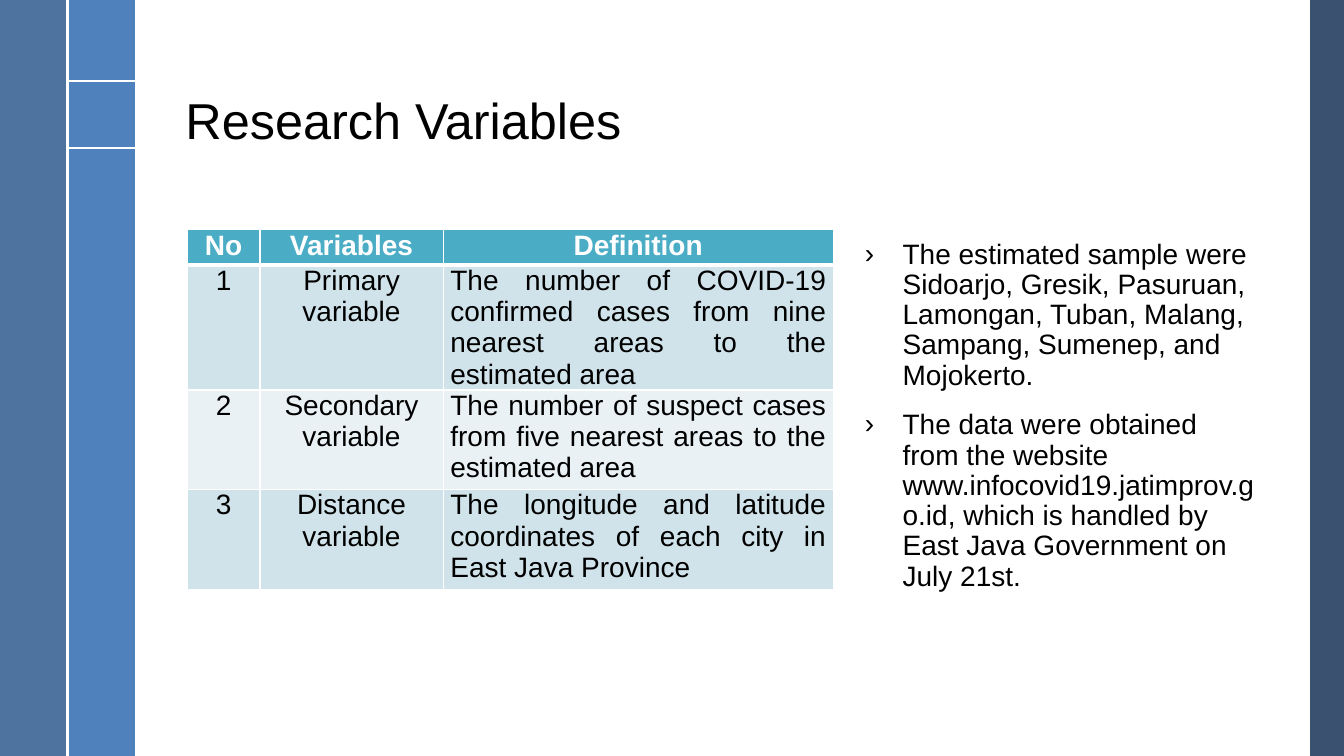
from lxml import etree
from pptx import Presentation
from pptx import util as u
from pptx.dml.color import RGBColor
from pptx.enum import shapes, text
from pptx.oxml import parse_xml
from pptx.oxml.ns import nsdecls, qn

W, H = 33.87, 19.05
BAR = 1.7
HEADER = ["No", "Variables", "Definition"]
ROWS = [
    ["1", "Primary variable", "The number of COVID-19 confirmed cases from nine "
     "nearest areas to the estimated area"],
    ["2", "Secondary variable", "The number of suspect cases from five nearest "
     "areas to the estimated area"],
    ["3", "Distance variable", "The longitude and latitude coordinates of each "
     "city in East Java Province"],
]
NOTES = [
    "The estimated sample were Sidoarjo, Gresik, Pasuruan, Lamongan, Tuban, "
    "Malang, Sampang, Sumenep, and Mojokerto.",
    "The data were obtained from the website www.infocovid19.jatimprov.go.id, "
    "which is handled by East Java Government on July 21st.",
]


def rgb(value):
    """Turn a hex string into a colour."""
    return RGBColor.from_string(value)


def set_attrs(obj, values):
    """Set each attribute named in a dict."""
    for name, value in values.items():
        setattr(obj, name, value)


def place(sp, left, top, width, height):
    """Move and size a shape, in centimetres."""
    set_attrs(sp, {"left": u.Cm(left), "top": u.Cm(top),
                   "width": u.Cm(width), "height": u.Cm(height)})


def write(p, words, size, color="000000", bold=False, **layout):
    """Fill a paragraph with one formatted run."""
    set_attrs(p, layout)
    r = p.add_run()
    r.text = words
    set_attrs(r.font, {"name": "Arial", "size": u.Pt(size), "bold": bold})
    r.font.color.rgb = rgb(color)


def add_bar(s, left, width, color, opacity=100):
    """Add a full-height vertical bar."""
    sp = s.shapes.add_shape(shapes.MSO_SHAPE.RECTANGLE, u.Cm(left), 0,
                            u.Cm(width), u.Cm(H))
    sp.shadow.inherit = False
    sp.fill.solid()
    sp.fill.fore_color.rgb = rgb(color)
    sp.line.fill.background()
    if opacity < 100:
        clr = sp.fill._xPr.find(qn("a:solidFill"))[0]
        etree.SubElement(clr, qn("a:alpha"), val=str(opacity * 1000))


def add_rule(s, x1, y1, x2, y2):
    """Add a thin white line."""
    ln = s.shapes.add_connector(shapes.MSO_CONNECTOR.STRAIGHT,
                                u.Cm(x1), u.Cm(y1), u.Cm(x2), u.Cm(y2))
    ln.line.color.rgb = rgb("FFFFFF")
    ln.line.width = u.Pt(1.5)
    etree.SubElement(ln._element.spPr, qn("a:effectLst"))


def set_borders(cell, widths):
    """Give a cell white borders, with widths in points by side."""
    tcPr = cell._tc.get_or_add_tcPr()
    for i, (side, width) in enumerate(widths.items()):
        tcPr.insert(i, parse_xml(
            f'<a:ln{side} {nsdecls("a")} w="{u.Pt(width)}"><a:solidFill>'
            f'<a:srgbClr val="FFFFFF"/></a:solidFill></a:ln{side}>'))


def add_variables_table(s):
    """Add the table of research variables."""
    col_widths, row_heights = [1.83, 4.62, 9.83], [0.89, 2.51, 2.51, 2.51]
    table = s.shapes.add_table(4, 3, u.Cm(4.72), u.Cm(5.79),
                               u.Cm(sum(col_widths)),
                               u.Cm(sum(row_heights))).table
    for col, width in zip(table.columns, col_widths):
        col.width = u.Cm(width)
    for i, words in enumerate([HEADER] + ROWS):
        head = i == 0
        table.rows[i].height = u.Cm(row_heights[i])
        fill = "4BACC6" if head else ("E9F1F5", "D0E3EA")[i % 2]
        for j, cell in enumerate(table.rows[i].cells):
            set_attrs(cell, {"margin_left": u.Cm(0.18), "margin_right": u.Cm(0.18),
                             "margin_top": 0, "margin_bottom": 0})
            cell.fill.solid()
            cell.fill.fore_color.rgb = rgb(fill)
            set_borders(cell, {"L": 1, "R": 1, "T": 3 if i == 1 else 1,
                               "B": 3 if head else 1})
            justify = j == 2 and not head
            write(cell.text_frame.paragraphs[0], words[j], 20,
                  "FFFFFF" if head else "000000", head,
                  alignment=text.PP_ALIGN.JUSTIFY if justify
                  else text.PP_ALIGN.CENTER)


def fill_title(sp, words):
    """Place and write the slide title."""
    place(sp, 4.42, 0.48, 27.18, 3.45)
    set_attrs(sp.text_frame, {"vertical_anchor": text.MSO_ANCHOR.BOTTOM,
                              "auto_size": text.MSO_AUTO_SIZE.NONE})
    write(sp.text_frame.paragraphs[0], words, 36,
          alignment=text.PP_ALIGN.LEFT, line_spacing=0.9)


def fill_list(sp, items):
    """Place and write the bulleted list."""
    place(sp, 21.54, 5.92, 10.46, 9.47)
    tf = sp.text_frame
    tf.auto_size = text.MSO_AUTO_SIZE.NONE
    for i, words in enumerate(items):
        p = tf.add_paragraph() if i else tf.paragraphs[0]
        pPr = p._p.get_or_add_pPr()
        set_attrs(pPr, {"marL": u.Cm(0.69), "indent": u.Cm(-0.69)})
        etree.SubElement(pPr, qn("a:buFont"), typeface="Arial")
        etree.SubElement(pPr, qn("a:buChar"), char="›")
        write(p, words, 20, line_spacing=0.9, space_before=u.Pt(14 if i else 0))


def main():
    """Build and save the slide."""
    prs = Presentation()
    set_attrs(prs, {"slide_width": u.Cm(W), "slide_height": u.Cm(H)})
    s = prs.slides.add_slide(prs.slide_layouts[1])
    add_bar(s, 33.02, W - 33.02, "254061", 90)
    add_bar(s, BAR, BAR, "4F81BD")
    add_bar(s, 0, BAR, "376092", 88)
    for y in (2.05, 3.73):
        add_rule(s, BAR, y, 2 * BAR, y)
    add_rule(s, BAR, 0, BAR, H)
    fill_title(s.shapes.title, "Research Variables")
    add_variables_table(s)
    fill_list(s.placeholders[1], NOTES)
    prs.save("out.pptx")


if __name__ == "__main__":
    main()
